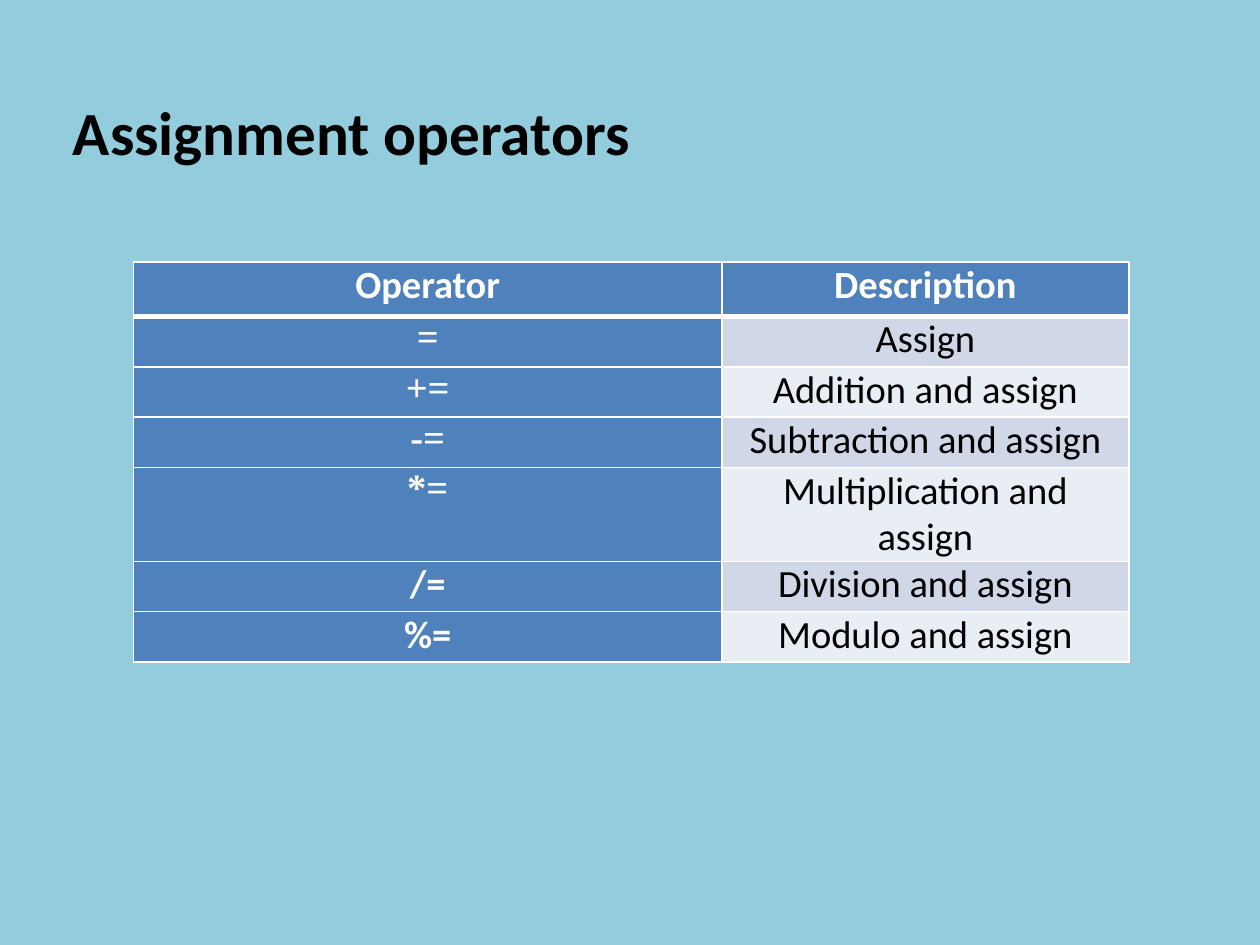
from lxml.etree import SubElement
from pptx import Presentation
from pptx.dml.color import RGBColor
from pptx.enum.text import MSO_ANCHOR, PP_ALIGN
from pptx.oxml.ns import qn
from pptx.util import Pt

BLUE, WHITE, BLACK = "4F81BD", "FFFFFF", "000000"
BANDS = ("D0D8E8", "E9EDF4")
SERIF = "Times New Roman"
COLUMN_WIDTHS = (336.2, 232.6)
HEADER_HEIGHT, ROW_HEIGHT = 31, 28.8
HEADINGS = ("Operator", "Description")
# Operator, its font, description
OPERATORS = [
    ("=", SERIF, "Assign"),
    ("+=", SERIF, "Addition and assign"),
    ("-=", SERIF, "Subtraction and assign"),
    ("*=", SERIF, "Multiplication and assign"),
    ("/=", "Calibri", "Division and assign"),
    ("%=", "Calibri", "Modulo and assign"),
]


def color(hex_value):
    return RGBColor.from_string(hex_value)


def write(frame, text, size=22, font="Calibri", fill=BLACK, bold=False,
          align=PP_ALIGN.CENTER):
    paragraph = frame.paragraphs[0]
    paragraph.alignment = align
    run = paragraph.add_run()
    run.text = text
    run.font.size = Pt(size)
    run.font.name = font
    run.font.bold = bold
    run.font.color.rgb = color(fill)


def set_borders(cell, top=1, bottom=1):
    properties = cell._tc.get_or_add_tcPr()
    for side, width in (("L", 1), ("R", 1), ("T", top), ("B", bottom)):
        line = SubElement(properties, qn(f"a:ln{side}"), w=str(Pt(width)))
        solid = SubElement(line, qn("a:solidFill"))
        SubElement(solid, qn("a:srgbClr"), val=WHITE)


def fill_cell(cell, text, background, top=1, bottom=1, **text_format):
    cell.margin_left = cell.margin_right = Pt(11.5)
    cell.margin_top = cell.margin_bottom = 0
    write(cell.text_frame, text, **text_format)
    # Borders come before the fill in the cell properties
    set_borders(cell, top, bottom)
    cell.fill.solid()
    cell.fill.fore_color.rgb = color(background)


def add_title(slide, text):
    title = slide.shapes.title
    title.left, title.top = Pt(0.7), Pt(0.7)
    title.width, title.height = Pt(720), Pt(96.5)
    frame = title.text_frame
    frame.word_wrap = True
    frame.vertical_anchor = MSO_ANCHOR.BOTTOM
    frame.margin_left, frame.margin_bottom = Pt(41), Pt(1.5)
    write(frame, text, size=35, bold=True, align=PP_ALIGN.LEFT)


def add_operator_table(slide):
    height = HEADER_HEIGHT + ROW_HEIGHT * len(OPERATORS)
    table = slide.shapes.add_table(
        len(OPERATORS) + 1, len(HEADINGS), Pt(76.3), Pt(149.8),
        Pt(sum(COLUMN_WIDTHS)), Pt(height)).table
    table.horz_banding = False
    for column, width in zip(table.columns, COLUMN_WIDTHS):
        column.width = Pt(width)
    for row in table.rows:
        row.height = Pt(ROW_HEIGHT)
    table.rows[0].height = Pt(HEADER_HEIGHT)

    # Header row, with a heavy rule below
    for index, heading in enumerate(HEADINGS):
        fill_cell(table.cell(0, index), heading, BLUE, bottom=3,
                  fill=WHITE, bold=True)

    # One row per operator
    for index, (operator, font, description) in enumerate(OPERATORS):
        row = index + 1
        top = 3 if row == 1 else 1
        fill_cell(table.cell(row, 0), operator, BLUE, top=top,
                  font=font, fill=WHITE, bold=True)
        fill_cell(table.cell(row, 1), description, BANDS[index % 2], top=top)


def main():
    deck = Presentation()
    deck.slide_width, deck.slide_height = Pt(720), Pt(540)
    slide = deck.slides.add_slide(deck.slide_layouts[5])
    slide.background.fill.solid()
    slide.background.fill.fore_color.rgb = color("93CDDD")
    add_title(slide, "Assignment operators")
    add_operator_table(slide)
    deck.save("out.pptx")


if __name__ == "__main__":
    main()
